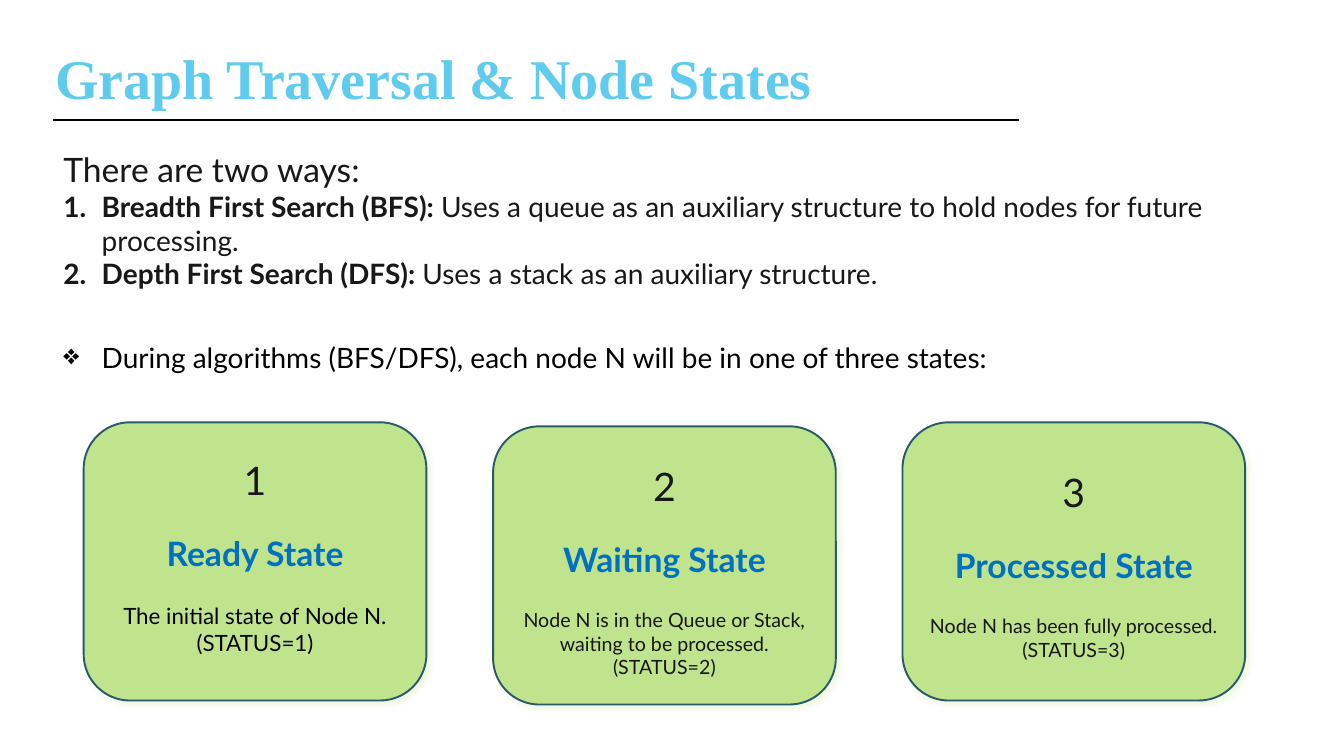
"""Build a slide on graph traversal with three node state cards."""
from lxml.etree import SubElement
from pptx import Presentation
from pptx.dml.color import RGBColor
from pptx.enum.shapes import MSO_CONNECTOR, MSO_SHAPE
from pptx.enum.text import MSO_ANCHOR, PP_ALIGN
from pptx.oxml.ns import qn
from pptx.util import Inches, Pt

theme = {
    "head": "Times New Roman", "body": "Lato",
    "sky": "5FCBEF", "ink": "181818", "black": "000000", "blue": "0070C0",
    "card": "C0E38D", "edge": "2A5969", "shade": "D5EDB3",
    "title": 40, "digit": 28, "lead": 24, "text": 20, "note": 16, "small": 14,
}

deck = Presentation()
deck.slide_width, deck.slide_height = Inches(13.33), Inches(7.5)
slide = deck.slides.add_slide(deck.slide_layouts[6])
shapes = slide.shapes


def place(left, top, width, height):
    """Turn percentages of the slide into lengths."""
    wide, high = deck.slide_width / 100, deck.slide_height / 100
    return int(left * wide), int(top * high), int(width * wide), int(height * high)


def write(text, frame, size="text", font="body", color="ink", bold=False,
          lead="", align=PP_ALIGN.LEFT, before=0, mark=None):
    """Add a paragraph, with an optional bold lead and list mark."""
    first = frame.paragraphs[0]
    para = frame.add_paragraph() if first.runs else first
    para.alignment = align
    para.space_before = Pt(before)
    if mark:
        props = para._p.get_or_add_pPr()
        props.set("marL", str(Inches(0.38)))
        props.set("indent", str(-Inches(0.38)))
        if mark == "1.":
            SubElement(props, qn("a:buFont"), typeface=theme[font])
            SubElement(props, qn("a:buAutoNum"), type="arabicPeriod")
        else:
            SubElement(props, qn("a:buChar"), char=mark)
    for part, heavy in ((lead, True), (text, bold)):
        for row, line in enumerate(part.split("\n")):
            if row:
                para.add_line_break()
            if line:
                run = para.add_run()
                run.text = line
                run.font.name = theme[font]
                run.font.size = Pt(theme[size])
                run.font.bold = heavy
                run.font.color.rgb = RGBColor.from_string(theme[color])


title = shapes.add_textbox(*place(3.38, 4, 70.5, 8.67)).text_frame
title.word_wrap = True
title.margin_top = Inches(0.13)
write("Graph Traversal & Node States", title, size="title", font="head",
      color="sky", bold=True)

cards = [
    ("Ready State", "The initial state of Node N.\n(STATUS=1)",
     "note", "black", 55.87, 0.2),
    ("Waiting State",
     "Node N is in the Queue or Stack, waiting to be processed.\n(STATUS=2)",
     "small", "ink", 56.4, 0.22),
    ("Processed State", "Node N has been fully processed.\n(STATUS=3)",
     "small", "ink", 55.87, 0.32),
]
for col, (name, note, size, color, top, inset) in enumerate(cards):
    card = shapes.add_shape(MSO_SHAPE.ROUNDED_RECTANGLE,
                            *place(6.23 + 30.46 * col, top, 25.5, 36.8))
    card.fill.solid()
    card.fill.fore_color.rgb = RGBColor.from_string(theme["card"])
    card.line.color.rgb = RGBColor.from_string(theme["edge"])
    card.line.width = Pt(1.35)
    card.shadow.inherit = False
    glow = SubElement(card._element.spPr.find(qn("a:effectLst")),
                      qn("a:outerShdw"), blurRad=str(Pt(4)), dist=str(Pt(3)),
                      dir=str(45 * 60000), rotWithShape="0")
    tint = SubElement(glow, qn("a:srgbClr"), val=theme["shade"])
    SubElement(tint, qn("a:alpha"), val="40000")
    frame = card.text_frame
    frame.word_wrap = True
    frame.vertical_anchor = MSO_ANCHOR.TOP
    frame.margin_top = Inches(inset)
    write(str(col + 1), frame, size="digit", align=PP_ALIGN.CENTER)
    write(name, frame, size="lead", color="blue", bold=True,
          align=PP_ALIGN.CENTER, before=21)
    write(note, frame, size=size, color=color, align=PP_ALIGN.CENTER, before=21)

left, top, width, _ = place(3.98, 15.87, 71.87, 0)
rule = shapes.add_connector(MSO_CONNECTOR.STRAIGHT, left, top, left + width, top)
rule.line.color.rgb = RGBColor.from_string(theme["black"])
rule.line.width = Pt(1.25)
SubElement(rule._element.spPr, qn("a:effectLst"))

states = shapes.add_textbox(*place(3.98, 44.4, 96, 5.87)).text_frame
states.word_wrap = True
write("During algorithms (BFS/DFS), each node N will be in one of three states:",
      states, color="black", mark="❖")

ways = shapes.add_textbox(*place(3.98, 19.07, 89.2, 20.13)).text_frame
ways.word_wrap = True
write("There are two ways:", ways, size="lead")
write("Uses a queue as an auxiliary structure to hold nodes for future processing.",
      ways, lead="Breadth First Search (BFS): ", mark="1.")
write("Uses a stack as an auxiliary structure.",
      ways, lead="Depth First Search (DFS): ", mark="1.")

deck.save("out.pptx")
